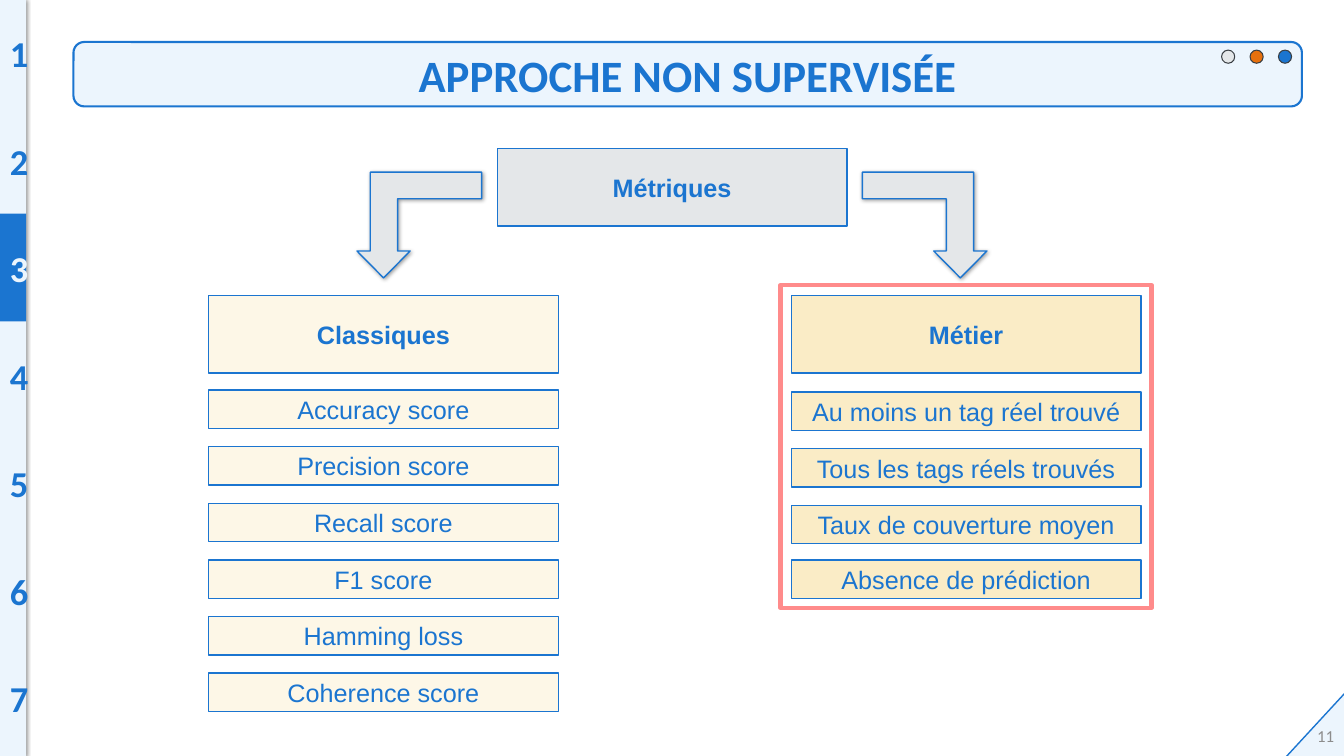
"""Build the slide on metrics for the unsupervised approach."""
from dataclasses import dataclass

from lxml.etree import SubElement
from pptx import Presentation
from pptx.dml.color import RGBColor
from pptx.enum.shapes import MSO_SHAPE as Preset
from pptx.enum.text import MSO_ANCHOR as Anchor, PP_ALIGN as Align
from pptx.oxml.ns import qn
from pptx.util import Pt

TITLE = "APPROCHE NON SUPERVISÉE"
ROOT = "Métriques"
PAGE = "11"
SECTIONS = ["1", "2", "3", "4", "5", "6", "7"]
CURRENT = "3"
CLASSIC = {
    "head": "Classiques",
    "items": ["Accuracy score", "Precision score", "Recall score", "F1 score",
              "Hamming loss", "Coherence score"],
    "nudges": [0] * 6,
    "left": 149,
    "fill": "FDF7E7",
}
BUSINESS = {
    "head": "Métier",
    "items": ["Au moins un tag réel trouvé", "Tous les tags réels trouvés",
              "Taux de couverture moyen", "Absence de prédiction"],
    "nudges": [1.5, 1.5, 1.5, 0],
    "left": 565.2,
    "fill": "FAECC6",
}
RIGHT_ARROW = [(616, 123), (695.5, 123), (695.5, 179.3), (705, 179.3), (686, 198.5),
               (667, 179.3), (676, 179.3), (676, 142), (616, 142)]


@dataclass(frozen=True)
class Theme:
    """Colours, fonts and type sizes."""
    blue: str = "1B75D0"
    pale: str = "ECF5FD"
    grey: str = "E4E7E9"
    orange: str = "E7700D"
    dark: str = "393E43"
    coral: str = "FF8B8B"
    muted: str = "8C8C8C"
    heading: str = "Calibri"
    body: str = "Arial"
    title_size: int = 32
    section_size: int = 26
    body_size: int = 18
    page_size: int = 12


THEME = Theme()
WIDTH, HEIGHT = 960, 540
RAIL_WIDTH, SECTION_TOP, SECTION_PITCH = 18.7, 18.7, 76.8
BOX_WIDTH, HEAD_HEIGHT, ROW_HEIGHT = 249.8, 55.4, 27.4
HEAD_TOP, ROW_TOP, ROW_PITCH = 211, 278.6, 40.45
DOT_LEFT, DOT_PITCH, DOT_SIZE = 872.6, 20.3, 9.4


def paint(shape, fill=None, line=None, weight=1):
    shape.shadow.inherit = False
    if fill:
        shape.fill.solid()
        shape.fill.fore_color.rgb = RGBColor.from_string(fill)
    else:
        shape.fill.background()
    if line:
        shape.line.color.rgb = RGBColor.from_string(line)
        shape.line.width = Pt(weight)
    else:
        shape.line.fill.background()
    return shape


def add_box(slide, at, fill=None, line=None, weight=1, preset=Preset.RECTANGLE):
    return paint(slide.shapes.add_shape(preset, *map(Pt, at)), fill, line, weight)


def cast_shadow(shape, alpha, distance, degrees):
    effects = shape._element.spPr.find(qn("a:effectLst"))
    outer = SubElement(effects, qn("a:outerShdw"), blurRad=str(Pt(3)), dist=str(Pt(distance)),
                       dir=str(degrees * 60000), algn="tl", rotWithShape="0")
    tint = SubElement(outer, qn("a:srgbClr"), val="000000")
    SubElement(tint, qn("a:alpha"), val=str(alpha * 1000))


def write(shape, text, size, font, color=THEME.blue, bold=False, align=Align.CENTER,
          anchor=Anchor.MIDDLE):
    frame = shape.text_frame
    frame.word_wrap = True
    frame.vertical_anchor = anchor
    paragraph = frame.paragraphs[0]
    paragraph.text = text
    paragraph.alignment = align
    paragraph.font.size = Pt(size)
    paragraph.font.name = font
    paragraph.font.bold = bold
    paragraph.font.color.rgb = RGBColor.from_string(color)


def add_label_box(slide, text, left, top, height, fill, bold=False):
    box = add_box(slide, (left, top, BOX_WIDTH, height), fill, THEME.blue)
    write(box, text, THEME.body_size, THEME.body, bold=bold)


def add_rail(slide):
    rail = add_box(slide, (0, 0, RAIL_WIDTH, HEIGHT), THEME.pale)
    cast_shadow(rail, 50, 0, 0)
    add_box(slide, (0, 152.6, RAIL_WIDTH, 77), THEME.blue)
    for index, section in enumerate(SECTIONS):
        top = SECTION_TOP + index * SECTION_PITCH
        number = slide.shapes.add_textbox(Pt(0), Pt(top), Pt(18), Pt(39))
        color = THEME.pale if section == CURRENT else THEME.blue
        write(number, section, THEME.section_size, THEME.heading, color, True, anchor=Anchor.TOP)


def add_title(slide):
    banner = add_box(slide, (52.5, 30, 877.5, 46), THEME.pale, THEME.blue, 1.5,
                     Preset.ROUNDED_RECTANGLE)
    write(banner, TITLE, THEME.title_size, THEME.heading, bold=True)
    for index, fill in enumerate([THEME.grey, THEME.orange, THEME.blue]):
        left = DOT_LEFT + index * DOT_PITCH
        add_box(slide, (left, 35.8, DOT_SIZE, DOT_SIZE), fill, THEME.dark, 0.75, Preset.OVAL)


def add_arrow(slide, points):
    start, *rest = [(Pt(x), Pt(y)) for x, y in points]
    builder = slide.shapes.build_freeform(*start)
    builder.add_line_segments(rest, close=True)
    arrow = paint(builder.convert_to_shape(), THEME.grey, THEME.blue)
    cast_shadow(arrow, 40, 1, 45)


def add_column(slide, column):
    left, fill = column["left"], column["fill"]
    add_label_box(slide, column["head"], left, HEAD_TOP, HEAD_HEIGHT, fill, True)
    for index, (item, nudge) in enumerate(zip(column["items"], column["nudges"])):
        top = ROW_TOP + index * ROW_PITCH + nudge
        add_label_box(slide, item, left, top, ROW_HEIGHT, fill)


def main():
    deck = Presentation()
    deck.slide_width, deck.slide_height = Pt(WIDTH), Pt(HEIGHT)
    slide = deck.slides.add_slide(deck.slide_layouts[6])

    corner = add_box(slide, (935.3, 497.5, 33.8, 63.4), THEME.pale, THEME.blue)
    corner.rotation = 42.7
    add_rail(slide)
    add_title(slide)

    add_label_box(slide, ROOT, 355.2, 106, HEAD_HEIGHT, THEME.grey, True)
    add_arrow(slide, [(WIDTH - x, y) for x, y in RIGHT_ARROW])
    add_arrow(slide, RIGHT_ARROW)
    add_box(slide, (557.5, 203.6, 265, 230.6), line=THEME.coral, weight=3)
    for column in (CLASSIC, BUSINESS):
        add_column(slide, column)

    page = slide.shapes.add_textbox(Pt(744), Pt(511.2), Pt(216), Pt(28.8))
    write(page, PAGE, THEME.page_size, THEME.heading, THEME.muted, align=Align.RIGHT)
    deck.save("out.pptx")


if __name__ == "__main__":
    main()
